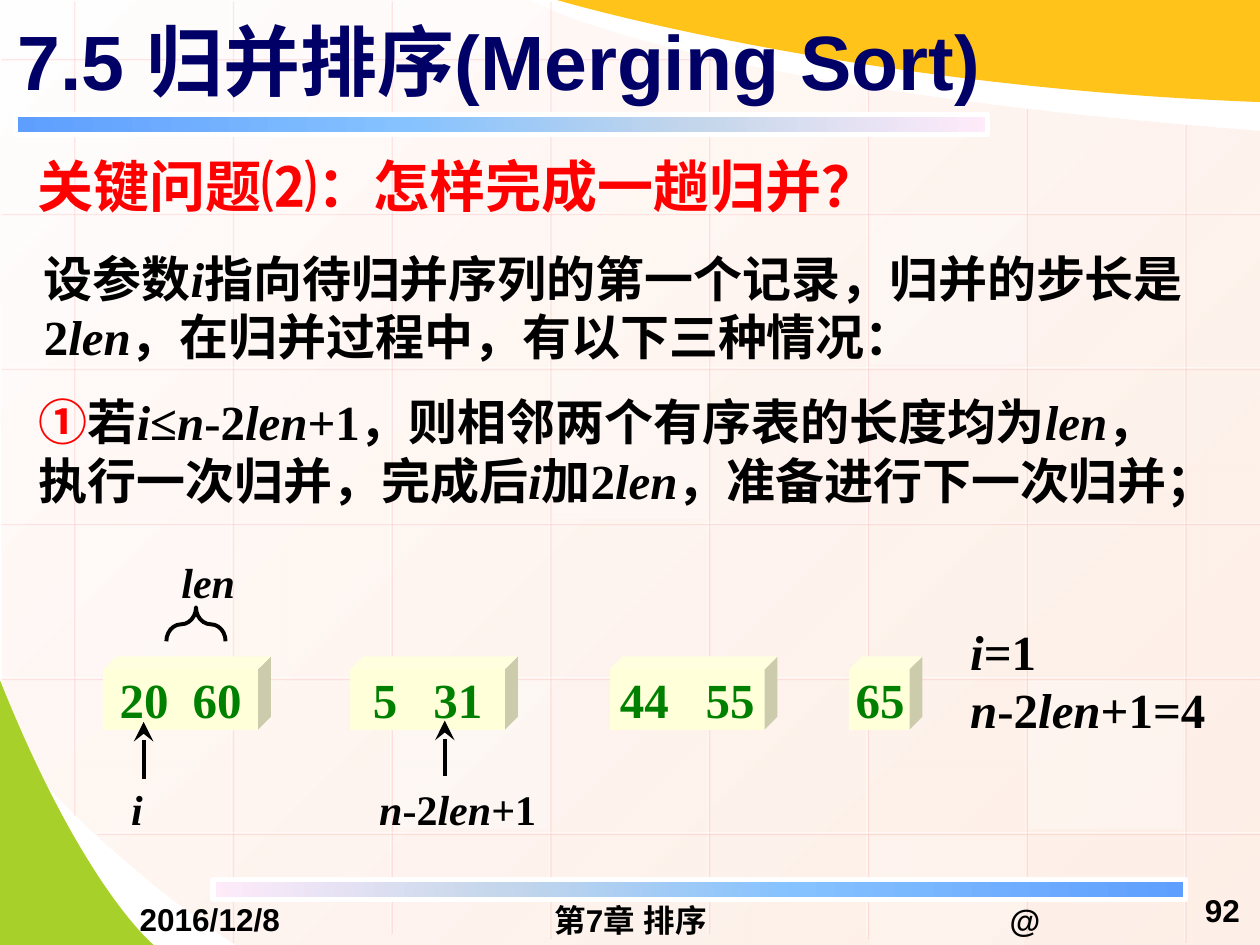
from lxml import etree
from pptx import Presentation
from pptx.dml.color import RGBColor
from pptx.enum.shapes import MSO_CONNECTOR, MSO_SHAPE
from pptx.enum.text import MSO_ANCHOR, PP_ALIGN
from pptx.oxml.ns import qn
from pptx.util import Inches, Pt

LEFT, CENTER, RIGHT = PP_ALIGN.LEFT, PP_ALIGN.CENTER, PP_ALIGN.RIGHT
TOP, MIDDLE = MSO_ANCHOR.TOP, MSO_ANCHOR.MIDDLE
RECT, CUBE, BRACE = MSO_SHAPE.RECTANGLE, MSO_SHAPE.CUBE, MSO_SHAPE.LEFT_BRACE
STRAIGHT = MSO_CONNECTOR.STRAIGHT
SERIF, SANS, CJK = "Times New Roman", "Arial", "Noto Sans CJK SC"
W, H = 10, 7.5
# Background grid: first line and pitch in each direction
GRID_X, GRID_Y, COL, ROW = 0.58, 0.46, 1.26, 1.23
BAR_STOPS = [(0, "5E9EFF"), (40, "85C2FF"), (70, "C4D6EB"), (100, "FFEBFA")]


def rgb(color):
    return RGBColor.from_string(color)


def sub(parent, tag, **attrs):
    return etree.SubElement(parent, qn(tag), {k: str(v) for k, v in attrs.items()})


def set_alpha(el, percent):
    sub(el.find(".//" + qn("a:srgbClr")), "a:alpha", val=percent * 1000)


def set_gradient(shape, stops, angle=0, end_alpha=None):
    shape.fill.gradient()
    shape.fill.gradient_angle = -angle % 360
    gs_list = shape._element.spPr.find(".//" + qn("a:gsLst"))
    for old in list(gs_list):
        gs_list.remove(old)
    for pos, color in stops:
        gs = sub(gs_list, "a:gs", pos=pos * 1000)
        sub(gs, "a:srgbClr", val=color)
    if end_alpha:
        set_alpha(gs, end_alpha)


def write(tf, text, size=28, color="000000", font=SERIF, east=SANS, align=LEFT, anchor=TOP,
          inset=(0.1, 0.05, 0.1, 0.05), lead="", lead_color="FF0000", tab=None):
    """Fill a text frame; *stars* mark italics, lead is a coloured prefix."""
    tf.word_wrap = True
    tf.vertical_anchor = anchor
    tf.margin_left, tf.margin_top, tf.margin_right, tf.margin_bottom = map(Inches, inset)
    for n, line in enumerate(text.split("\n")):
        p = tf.add_paragraph() if n else tf.paragraphs[0]
        if tab:
            tabs = sub(p._p.get_or_add_pPr(), "a:tabLst")
            sub(tabs, "a:tab", pos=Inches(tab), algn="l")
        p.alignment = align
        parts = [(t, color, bool(k % 2)) for k, t in enumerate(line.split("*"))]
        for t, c, italic in [(lead, lead_color, False)] + parts:
            if not t:
                continue
            r = p.add_run()
            r.text = t
            r.font.size, r.font.bold, r.font.italic = Pt(size), True, italic
            r.font.color.rgb = rgb(c)
            r.font.name = font
            sub(r._r.get_or_add_rPr(), "a:ea", typeface=east)


def add_text(s, box, text, **fmt):
    write(s.shapes.add_textbox(*map(Inches, box)).text_frame, text, **fmt)


def set_fill(sp, color=None):
    """Plain shape: no shadow, no line, solid fill if a colour is given."""
    sp.shadow.inherit = False
    sp.line.fill.background()
    if color:
        sp.fill.solid()
        sp.fill.fore_color.rgb = rgb(color)
    else:
        sp.fill.background()


def add_box(s, kind, box, fill=None, alpha=None):
    sp = s.shapes.add_shape(kind, *map(Inches, box))
    set_fill(sp, fill)
    if alpha:
        set_alpha(sp._element.spPr, alpha)
    return sp


def add_line(s, start, end, color, width):
    line = s.shapes.add_connector(STRAIGHT, *map(Inches, start + end))
    line.line.color.rgb = rgb(color)
    line.line.width = Pt(width)
    return line, sub(line._element.spPr, "a:effectLst")


def add_grid_line(s, start, end):
    line, effects = add_line(s, start, end, "FFFFFF", 0.75)
    set_alpha(line._element.spPr, 50)
    shadow = sub(effects, "a:outerShdw", dist=Pt(1.4), dir=45 * 60000, algn="ctr", rotWithShape=0)
    sub(shadow, "a:srgbClr", val="FF7575")
    set_alpha(shadow, 33)


def add_arrow(s, x, bottom, top):
    line, _ = add_line(s, (x, bottom), (x, top), "000000", 2.25)
    sub(line.line._get_or_add_ln(), "a:tailEnd", type="stealth", w="lg", len="lg")


def add_outline(s, points, curves, fill=None):
    """Closed outline; curves lists the segments that begin a Bezier triple."""
    pts = [(x * 1000, y * 1000) for x, y in points]
    fb = s.shapes.build_freeform(*pts[0], scale=914.4)
    fb.add_line_segments(pts[1:], close=True)
    sp = fb.convert_to_shape()
    set_fill(sp, fill)
    segments = list(sp._element.spPr.iter(qn("a:lnTo")))
    for k in curves:
        bezier = etree.Element(qn("a:cubicBezTo"))
        segments[k].addprevious(bezier)
        for segment in segments[k:k + 3]:
            bezier.append(segment[0])
            segment.getparent().remove(segment)
    return sp


def add_bar(s, left, top, stops):
    bar = add_box(s, RECT, (left, top, 7.72, 0.16))
    set_gradient(bar, stops)
    bar.line.color.rgb = rgb("FFFFFF")
    bar.line.width = Pt(3)


def draw_background(s):
    # Tinted panel and green corner
    panel = add_outline(s, [(W, 1.04), (W, H), (1.87, H), (0.55, 6.6), (0.01, 5.8), (0.02, 5.8),
                            (0, 0), (4.21, 0), (4.21, 0.01), (5.37, 0.69), (W, 1.04)], [2, 7])
    set_gradient(panel, [(0, "FFFEFE"), (100, "FEE9DE")], 45, end_alpha=70)
    add_outline(s, [(0, 5.4), (0, H), (1.22, H), (1.22, H), (0.66, 7.05), (0, 5.4)],
                [2], "A8D02A")
    # Grid lines, trimmed to the curved edges
    spans = [(0, 6.46), (0, 7.47), (0, 7.4), (0, 7.44), (0.43, 7.4), (0.68, 7.44),
             (0.85, 7.44), (0.98, 7.47)]
    for c, (top, bottom) in enumerate(spans):
        x = GRID_X + c * COL
        add_grid_line(s, (x, top), (x, bottom))
    for r, (left, right) in enumerate([(0, 5.68)] + [(0, W)] * 4 + [(0.76, W)]):
        y = GRID_Y + r * ROW
        add_grid_line(s, (right, y), (left, y))
    # Pale grid cells: column, row, opacity
    for c, r, alpha in [(3, 2, 25), (6, 4, 30), (0, 3, 20), (5, 5, 20), (2, -1, 40),
                        (2, 4, 30), (5, 1, 30)]:
        top = max(0, GRID_Y + r * ROW + 0.02)
        bottom = min(H, GRID_Y + (r + 1) * ROW - 0.03)
        add_box(s, RECT, (GRID_X + c * COL + 0.02, top, 1.23, bottom - top), "FFFFFF", alpha)
    # Yellow corner and gradient bars
    add_outline(s, [(W, 0.81), (W, 0), (4.42, 0), (4.42, 0), (6.74, 0.69), (W, 0.81)],
                [2], "FFC319")
    add_bar(s, 0.12, 0.91, BAR_STOPS)
    add_bar(s, 1.69, 6.98, [(100 - pos, c) for pos, c in reversed(BAR_STOPS)])


def draw_title(s):
    title = s.shapes.title
    s.shapes._spTree.append(title._element)  # in front of the background
    title.left, title.top, title.width, title.height = map(Inches, (0.04, -0.03, 9, 1.01))
    write(title.text_frame, "7.5 归并排序(Merging Sort)", size=44, color="000066", font=SANS,
          anchor=MIDDLE)


def draw_footer(s):
    for box, text, align, right in [((0.5, 7.14, 2.33, 0.3), "2016/12/8", CENTER, 0.1),
                                    ((3.42, 7.15, 3.17, 0.3), "第7章 排序", CENTER, 0.1),
                                    ((6.97, 7.15, 2.33, 0.3), "@", CENTER, 0.1),
                                    ((9.38, 6.98, 0.66, 0.49), "92", RIGHT, 0.2)]:
        add_text(s, box, text, size=18, font=SANS, align=align, anchor=MIDDLE,
                 inset=(0.1, 0, right, 0))


def draw_body(s):
    add_text(s, (0.2, 1.15, 9.61, 0.64), "怎样完成一趟归并？", size=32, color="FF0000",
             font=SANS, lead="关键问题⑵：")
    add_text(s, (0.25, 1.92, 9.58, 1.03),
             "设参数*i*指向待归并序列的第一个记录，归并的步长是2*len*，在归并过程中，有以下三种情况：")
    add_text(s, (0.21, 3.06, 9.37, 1.04),
             "若*i*≤*n*-2*len*+1，则相邻两个有序表的长度均为*len*，执行一次归并，完成后*i*加2*len*"
             "，准备进行下一次归并；", lead="①", east=CJK)


def draw_merge_diagram(s):
    # Sorted runs: left, width, numbers, text inset, tab stop
    for left, width, text, inset, tab in [(0.82, 1.33, "20\t60", 0.13, 0.58),
                                          (2.78, 1.33, "5\t31", 0.18, 0.48),
                                          (4.84, 1.33, "44\t55", 0.08, 0.68),
                                          (6.74, 0.58, "65", 0.05, None)]:
        cube = add_box(s, CUBE, (left, 5.21, width, 0.58), "FFFFD9")
        cube.adjustments[0] = 0.173
        write(cube.text_frame, text, color="008000", anchor=MIDDLE, inset=(inset, 0, 0, 0), tab=tab)
    # Run length brace
    brace = add_box(s, BRACE, (1.42, 4.72, 0.27, 0.47))
    brace.rotation = 90
    brace.adjustments[0] = 0.44
    brace.line.color.rgb = rgb("000000")
    brace.line.width = Pt(2.25)
    # Pointers and labels
    add_arrow(s, 1.14, 6.18, 5.73)
    add_arrow(s, 3.53, 6.16, 5.72)
    for box, text in [((1.04, 6.22, 0.2, 0.4), "*i*"), ((1.44, 4.42, 0.64, 0.4), "*len*"),
                      ((3.01, 6.22, 1.41, 0.4), "*n*-2*len*+1")]:
        add_text(s, box, text, size=24, inset=(0, 0, 0, 0))
    add_text(s, (7.7, 4.93, 2.05, 0.93), "*i*=1\n*n*-2*len*+1=4", inset=(0, 0, 0, 0))


def main():
    prs = Presentation()
    prs.slide_width, prs.slide_height = Inches(W), Inches(H)
    s = prs.slides.add_slide(prs.slide_layouts[5])
    draw_background(s)
    draw_title(s)
    draw_footer(s)
    draw_body(s)
    draw_merge_diagram(s)
    prs.save("out.pptx")


if __name__ == "__main__":
    main()
